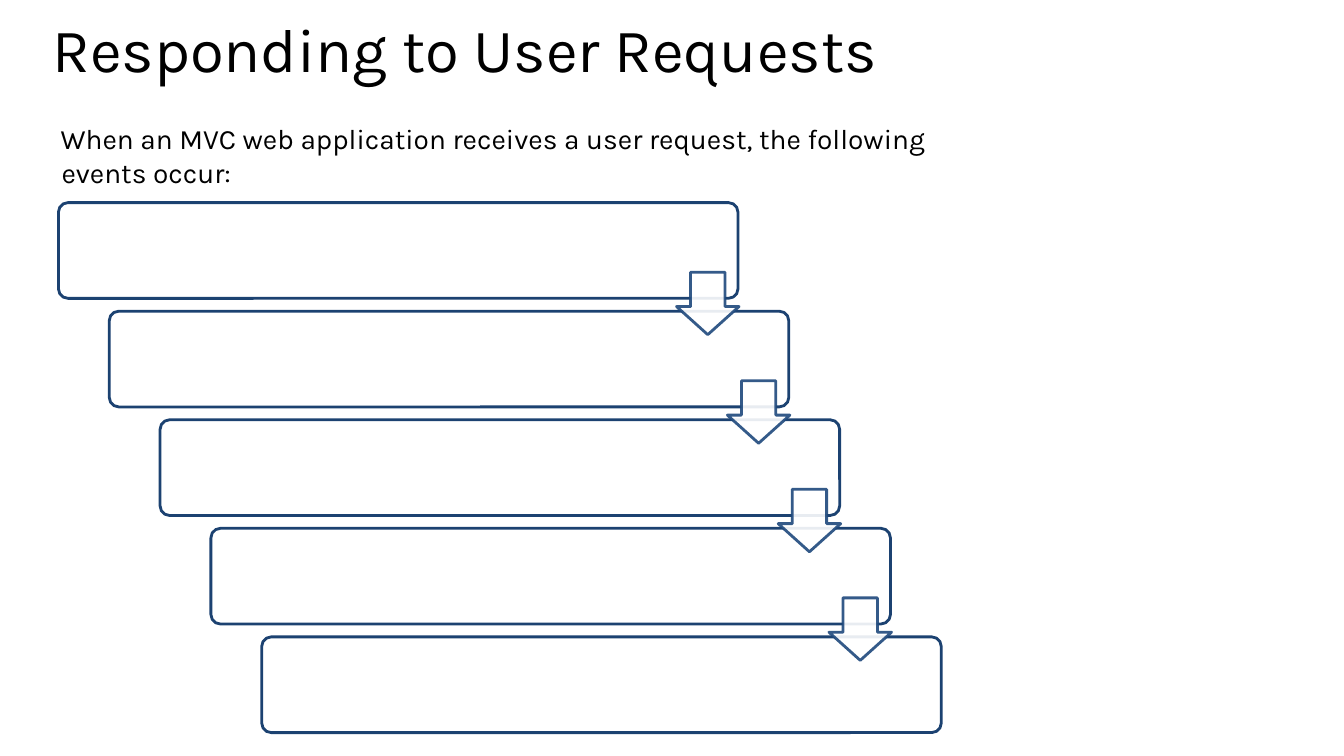
"""Builds a slide with a staircase of five empty steps joined by arrows."""
from lxml.etree import SubElement
from pptx import Presentation
from pptx.dml.color import RGBColor
from pptx.enum.shapes import MSO_SHAPE as Shape
from pptx.enum.text import MSO_ANCHOR as Anchor, PP_ALIGN as Align
from pptx.oxml.ns import qn
from pptx.util import Inches, Pt


def write(box, text, size, margins=(0, 0), line_spacing=None, space_before=0):
    frame = box.text_frame
    frame.word_wrap = True
    frame.vertical_anchor = Anchor.TOP
    frame.margin_left = frame.margin_right = Inches(margins[0])
    frame.margin_top = frame.margin_bottom = Inches(margins[1])
    para = frame.paragraphs[0]
    para.alignment = Align.LEFT
    para.line_spacing = line_spacing
    para.space_before = Pt(space_before)
    span = para.add_run()
    span.text = text
    span.font.name = "Karla"
    span.font.size = Pt(size)
    span.font.color.rgb = RGBColor.from_string("000000")
    return para


def draw(kind, left, top, width, height, adjustments, line, opacity=100):
    shape = page.shapes.add_shape(
        kind, Inches(left), Inches(top), Inches(width), Inches(height))
    shape.shadow.inherit = False
    for index, value in enumerate(adjustments):
        shape.adjustments[index] = value
    shape.fill.solid()
    shape.fill.fore_color.rgb = RGBColor.from_string("FFFFFF")
    shape.line.color.rgb = RGBColor.from_string(line)
    shape.line.width = Pt(2)
    if opacity < 100:
        for color in shape._element.spPr.iter(qn("a:srgbClr")):
            SubElement(color, qn("a:alpha"), val=str(opacity * 1000))


deck = Presentation()
deck.slide_width, deck.slide_height = Inches(13.33), Inches(7.5)
page = deck.slides.add_slide(deck.slide_layouts[5])

title = page.shapes.title
title.left, title.top = Inches(0.42), Inches(0.2)
title.width, title.height = Inches(12.6), Inches(1.16)
write(title, "Responding to User Requests", 44, margins=(0.1, 0.05), line_spacing=0.8)

intro = page.shapes.add_textbox(Inches(0.42), Inches(1.21), Inches(8.88), Inches(1.73))
intro_para = write(
    intro,
    "When an MVC web application receives a user request, the following events occur:",
    20, space_before=6)
indent = intro_para._p.get_or_add_pPr()
indent.set("marL", str(Inches(0.19)))
indent.set("indent", str(Inches(-0.01)))

STEPS = 5
STEP_RIGHT, STEP_DOWN = 0.504, 1.077
for step in range(STEPS):
    draw(Shape.ROUNDED_RECTANGLE, 0.58 + step * STEP_RIGHT, 2.01 + step * STEP_DOWN,
         6.74, 0.95, [0.1], "1C4271")
for step in range(STEPS - 1):
    draw(Shape.DOWN_ARROW, 6.71 + step * STEP_RIGHT, 2.7 + step * STEP_DOWN,
         0.62, 0.62, [0.55, 0.45], "1F497D", opacity=90)

for arrow in list(page.shapes)[-(STEPS - 1):]:
    arrow.adjustments[0], arrow.adjustments[1] = 0.55, 0.45

deck.save("out.pptx")
